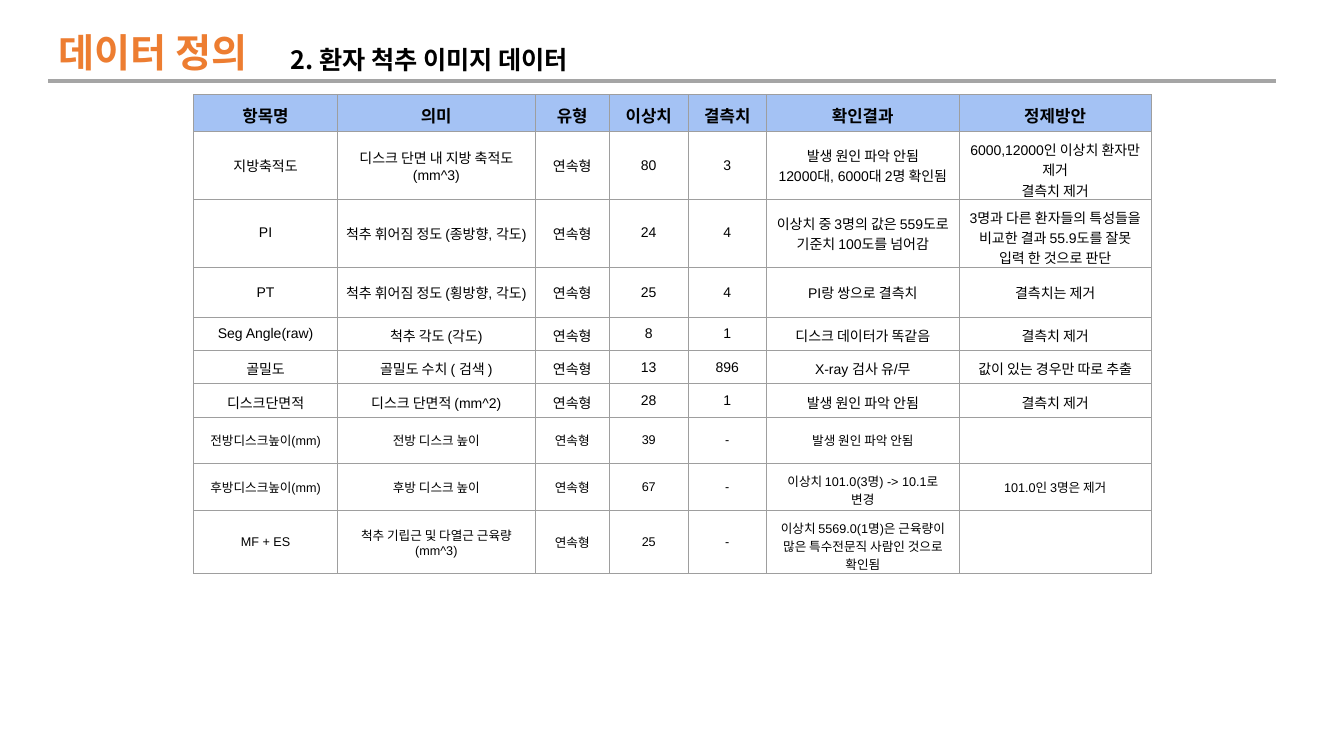
from lxml.etree import SubElement
from pptx import Presentation
from pptx.dml.color import RGBColor
from pptx.enum.shapes import MSO_CONNECTOR
from pptx.enum.text import MSO_ANCHOR, MSO_AUTO_SIZE, PP_ALIGN
from pptx.oxml.ns import qn
from pptx.util import Inches, Pt

COLORS = {
    "title": "ED7D31",
    "text": "000000",
    "rule": "A5A5A5",
    "header": "A4C2F4",
    "border": "9E9E9E",
}
TITLE_FONT = "Noto Sans CJK KR"
TABLE_FONT = "Arial"
TYPE = "연속형"

COLUMN_WEIGHTS = [1.43, 1.96, 0.74, 0.78, 0.78, 1.91, 1.91]
ROW_WEIGHTS = [0.3, 0.55, 0.55, 0.41, 0.27, 0.27, 0.27, 0.38, 0.38, 0.51]
ROW_SIZES = [12] + [10] * 6 + [9] * 3
TABLE_ROWS = [
    ["항목명", "의미", "유형", "이상치", "결측치", "확인결과", "정제방안"],
    ["지방축적도", "디스크 단면 내 지방 축적도 (mm^3)", TYPE, "80", "3",
     "발생 원인 파악 안됨\n12000대, 6000대 2명 확인됨",
     "6000,12000인 이상치 환자만 제거\n결측치 제거"],
    ["PI", "척추 휘어짐 정도 (종방향, 각도)", TYPE, "24", "4",
     "이상치 중 3명의 값은 559도로 기준치 100도를 넘어감",
     "3명과 다른 환자들의 특성들을 비교한 결과 55.9도를 잘못 입력 한 것으로 판단"],
    ["PT", "척추 휘어짐 정도 (횡방향, 각도)", TYPE, "25", "4",
     "PI랑 쌍으로 결측치", "결측치는 제거"],
    ["Seg Angle(raw)", "척추 각도 (각도)", TYPE, "8", "1",
     "디스크 데이터가 똑같음", "결측치 제거"],
    ["골밀도", "골밀도 수치 ( 검색 )", TYPE, "13", "896",
     "X-ray 검사 유/무", "값이 있는 경우만 따로 추출"],
    ["디스크단면적", "디스크 단면적 (mm^2)", TYPE, "28", "1",
     "발생 원인 파악 안됨", "결측치 제거"],
    ["전방디스크높이(mm)", "전방 디스크 높이", TYPE, "39", "-",
     "발생 원인 파악 안됨", ""],
    ["후방디스크높이(mm)", "후방 디스크 높이", TYPE, "67", "-",
     "이상치 101.0(3명) -> 10.1로 변경", "101.0인 3명은 제거"],
    ["MF + ES", "척추 기립근 및 다열근 근육량 (mm^3)", TYPE, "25", "-",
     "이상치 5569.0(1명)은 근육량이 많은 특수전문직 사람인 것으로 확인됨", ""],
]


def write_text(frame, text, font, size, color="text", bold=False, align=PP_ALIGN.LEFT):
    for index, line in enumerate(text.split("\n")):
        paragraph = frame.add_paragraph() if index else frame.paragraphs[0]
        paragraph.alignment = align
        run = paragraph.add_run()
        run.text = line
        run.font.name = font
        run.font.size = Pt(size)
        run.font.bold = bold
        run.font.color.rgb = RGBColor.from_string(COLORS[color])
        SubElement(run.font._element, qn("a:ea"), typeface=TITLE_FONT)


class SlideBuilder:
    """Places elements on one slide; lengths are percentages of its size."""

    def __init__(self, presentation):
        self.presentation = presentation
        self.slide = presentation.slides.add_slide(presentation.slide_layouts[6])

    def across(self, share):
        return round(self.presentation.slide_width * share / 100)

    def down(self, share):
        return round(self.presentation.slide_height * share / 100)

    def area(self, left, top, width, height):
        return self.across(left), self.down(top), self.across(width), self.down(height)

    def rule(self, left, right, top, color, weight):
        line = self.slide.shapes.add_connector(
            MSO_CONNECTOR.STRAIGHT, self.across(left), self.down(top),
            self.across(right), self.down(top))
        line.line.color.rgb = RGBColor.from_string(COLORS[color])
        line.line.width = Pt(weight)
        SubElement(line._element.spPr, qn("a:effectLst"))

    def heading(self, text, area, **text_format):
        frame = self.slide.shapes.add_textbox(*self.area(*area)).text_frame
        frame.word_wrap = False
        frame.auto_size = MSO_AUTO_SIZE.SHAPE_TO_FIT_TEXT
        write_text(frame, text, TITLE_FONT, bold=True, **text_format)

    def table(self, rows, area, column_weights, row_weights, sizes):
        left, top, width, height = self.area(*area)
        table = self.slide.shapes.add_table(
            len(rows), len(column_weights), left, top, width, height).table
        table.first_row = False
        table.horz_banding = False
        for column, weight in zip(table.columns, column_weights):
            column.width = round(width * weight / sum(column_weights))
        for row, weight in zip(table.rows, row_weights):
            row.height = round(height * weight / sum(row_weights))
        for row_index, (texts, size) in enumerate(zip(rows, sizes)):
            for column_index, text in enumerate(texts):
                self.style_cell(table.cell(row_index, column_index), text, size,
                                is_header=row_index == 0)

    def style_cell(self, cell, text, size, is_header):
        cell.vertical_anchor = MSO_ANCHOR.MIDDLE
        cell.margin_left = cell.margin_right = Inches(0.08)
        cell.margin_top = cell.margin_bottom = Inches(0.08)
        write_text(cell.text_frame, text, TABLE_FONT, size,
                   bold=is_header, align=PP_ALIGN.CENTER)
        properties = cell._tc.get_or_add_tcPr()
        for side in ("lnL", "lnR", "lnT", "lnB"):
            border = SubElement(properties, qn(f"a:{side}"), w=str(Pt(0.6)))
            fill = SubElement(border, qn("a:solidFill"))
            SubElement(fill, qn("a:srgbClr"), val=COLORS["border"])
        if is_header:
            cell.fill.solid()
            cell.fill.fore_color.rgb = RGBColor.from_string(COLORS["header"])
        else:
            cell.fill.background()


def main():
    presentation = Presentation()
    presentation.slide_width = Inches(13.33)
    presentation.slide_height = Inches(7.5)
    builder = SlideBuilder(presentation)
    builder.rule(3.6, 94.97, 10.67, "rule", 3)
    builder.heading("데이터 정의", (3.6, 3.07, 17.25, 7.6), size=28, color="title")
    builder.heading("2. 환자 척추 이미지 데이터", (20.86, 5.2, 24.76, 5.33), size=18)
    builder.table(TABLE_ROWS, (14.4, 12.53, 71.27, 63.33),
                  COLUMN_WEIGHTS, ROW_WEIGHTS, ROW_SIZES)
    presentation.save("out.pptx")


if __name__ == "__main__":
    main()
